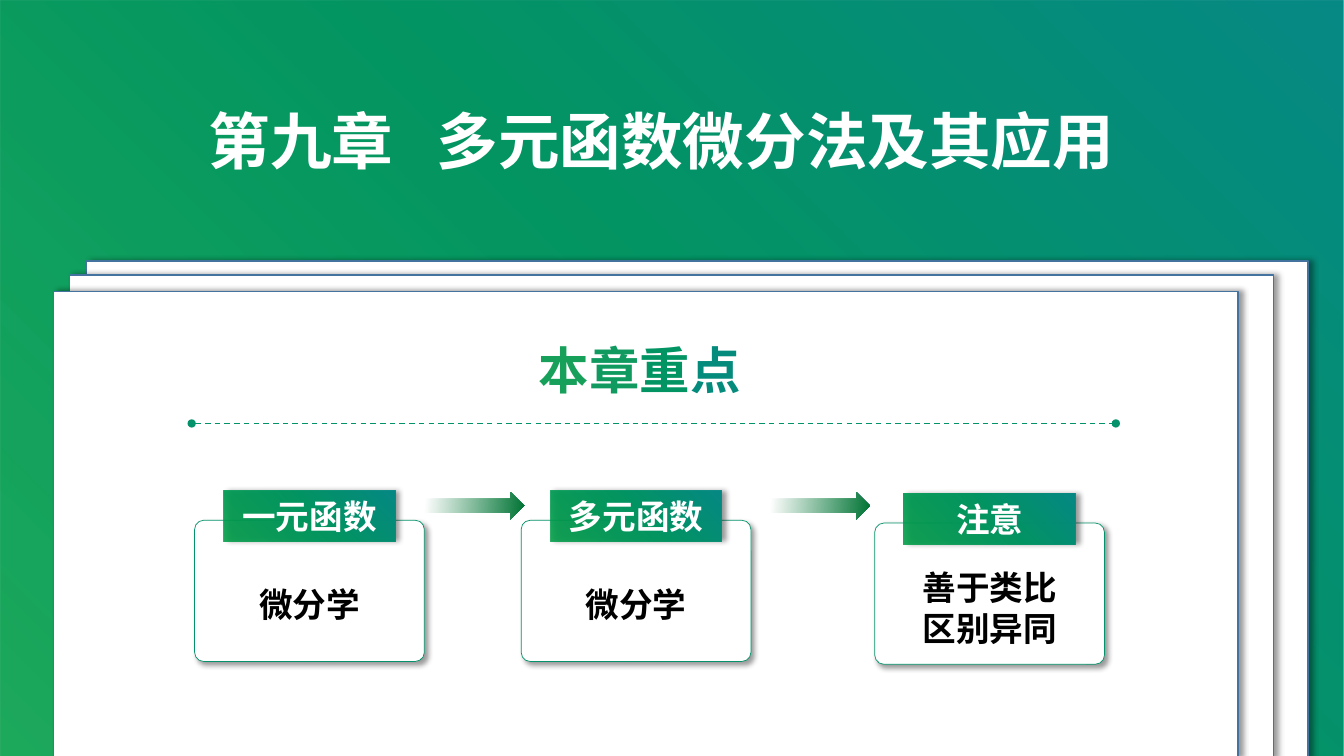
"""Build the chapter nine opening slide on multivariable calculus."""
from pptx import Presentation
from pptx.dml.color import RGBColor
from pptx.enum.dml import MSO_LINE
from pptx.enum.shapes import MSO_CONNECTOR, MSO_SHAPE
from pptx.enum.text import MSO_ANCHOR, PP_ALIGN
from pptx.oxml import parse_xml
from pptx.oxml.ns import nsdecls, qn
from pptx.util import Cm, Pt

RECT, ROUNDED = MSO_SHAPE.RECTANGLE, MSO_SHAPE.ROUNDED_RECTANGLE
ARROW, STRAIGHT = MSO_SHAPE.RIGHT_ARROW, MSO_CONNECTOR.STRAIGHT
LEFT, CENTER, MIDDLE = PP_ALIGN.LEFT, PP_ALIGN.CENTER, MSO_ANCHOR.MIDDLE
DASH = MSO_LINE.DASH
FONT = "Noto Sans CJK SC"
WHITE, BLACK, GREEN, BLUE = "FFFFFF", "000000", "04926A", "43739E"

CHAPTER = "第九章\t多元函数微分法及其应用"
FOCUS = "本章重点"
FOCUS_COLORS = ["16A05A", "109A60", "039463", "058B7C"]
TOPICS = [
    ("一元函数", ["微分学"], 7.8, 13.11),
    ("多元函数", ["微分学"], 16.03, 13.11),
    ("注意", ["善于类比", "区别异同"], 24.94, 13.18),
]
PAPERS = [(2.18, 6.58, 30.78), (1.75, 6.93, 30.35), (1.35, 7.34, 29.85)]
ARROW_LEFTS = [10.62, 19.33]

WIDTH, HEIGHT, BOTTOM = 33.87, 19.05, 19.1
CARD_W, CARD_H = 5.79, 3.56
LABEL_W, LABEL_H, LABEL_RISE = 4.32, 1.27, 0.74
BODY_W, BODY_DROP, BODY_LINE = 4, 2.12, 1.03

GREEN_STOPS = [(0, "009E47", 88), (55, "039463", 100), (100, "068885", 100)]
ARROW_STOPS = [(4, "FFFFFF", 100), (100, "007434", 100)]
RADIAL = '<a:path path="circle"><a:fillToRect t="100000" r="100000"/></a:path>'
LINEAR = '<a:lin ang="300000" scaled="0"/>'


def rgb(code):
    """Turn a hex string into a colour."""
    return RGBColor.from_string(code)


def write(frame, lines, size=24, colors=(WHITE,), align=CENTER, spacing=None, tab=None):
    """Fill a text frame; each line is a list of runs, coloured in turn."""
    frame.word_wrap = True
    frame.vertical_anchor = MIDDLE
    for index, line in enumerate(lines):
        paragraph = frame.paragraphs[0] if index == 0 else frame.add_paragraph()
        paragraph.alignment = align
        if spacing:
            paragraph.line_spacing = Pt(spacing)
        if tab:
            paragraph._p.get_or_add_pPr().append(parse_xml(
                f'<a:tabLst {nsdecls("a")}><a:tab pos="{Cm(tab)}" algn="l"/></a:tabLst>'))
        for text, color in zip(line, colors):
            run = paragraph.add_run()
            run.text = text
            font = run.font
            font.name, font.size, font.bold = FONT, Pt(size), True
            font.color.rgb = rgb(color)
            run._r.get_or_add_rPr().append(
                parse_xml(f'<a:ea {nsdecls("a")} typeface="{FONT}"/>'))


def add_gradient(shape, stops, direction):
    """Give a shape a gradient fill."""
    marks = "".join(
        f'<a:gs pos="{pos * 1000}"><a:srgbClr val="{color}">'
        f'<a:alpha val="{alpha * 1000}"/></a:srgbClr></a:gs>'
        for pos, color, alpha in stops)
    shape.fill.background()
    properties = shape.element.spPr
    properties.replace(properties.find(qn("a:noFill")), parse_xml(
        f'<a:gradFill {nsdecls("a")} rotWithShape="1"><a:gsLst>{marks}</a:gsLst>'
        f'{direction}</a:gradFill>'))


def add_block(slide, kind, box, fill=None, line=None, weight=1, shadow=None):
    """Add a shape; shadow is the angle it falls at in degrees."""
    shape = slide.shapes.add_shape(kind, *map(Cm, box))
    shape.shadow.inherit = False
    if fill:
        shape.fill.solid()
        shape.fill.fore_color.rgb = rgb(fill)
    if line:
        shape.line.color.rgb = rgb(line)
        shape.line.width = Pt(weight)
    else:
        shape.line.fill.background()
    if shadow is not None:
        shape.element.spPr.find(qn("a:effectLst")).append(parse_xml(
            f'<a:outerShdw {nsdecls("a")} blurRad="{Pt(4)}" dist="{Pt(3)}" '
            f'dir="{shadow * 60000}" algn="tl" rotWithShape="0">'
            '<a:srgbClr val="000000"><a:alpha val="40000"/></a:srgbClr></a:outerShdw>'))
    return shape


def add_divider(slide):
    """Draw the dashed rule with round ends."""
    rule = slide.shapes.add_connector(STRAIGHT, Cm(4.83), Cm(10.67), Cm(28.12), Cm(10.67))
    rule.line.color.rgb = rgb(GREEN)
    rule.line.width = Pt(1)
    rule.line.dash_style = DASH
    ends = rule.line._get_or_add_ln()
    for end in ("headEnd", "tailEnd"):
        ends.append(parse_xml(f'<a:{end} {nsdecls("a")} type="oval"/>'))
    rule.element.spPr.append(parse_xml(f'<a:effectLst {nsdecls("a")}/>'))


def add_topic(slide, name, lines, center, top):
    """Draw one card with its label and text."""
    card = add_block(slide, ROUNDED, (center - CARD_W / 2, top, CARD_W, CARD_H),
                     fill=WHITE, line=GREEN, weight=0.5, shadow=45)
    card.adjustments[0] = 0.065
    label = add_block(slide, RECT, (center - LABEL_W / 2, top - LABEL_RISE, LABEL_W, LABEL_H),
                      shadow=0)
    add_gradient(label, GREEN_STOPS, RADIAL)
    write(label.text_frame, [[name]])
    height = 0.25 + BODY_LINE * len(lines)
    body = slide.shapes.add_textbox(Cm(center - BODY_W / 2), Cm(top + BODY_DROP - height / 2),
                                    Cm(BODY_W), Cm(height))
    write(body.text_frame, [[line] for line in lines], colors=[BLACK], spacing=29)


def main():
    """Assemble and save the slide."""
    deck = Presentation()
    deck.slide_width, deck.slide_height = Cm(WIDTH), Cm(HEIGHT)
    slide = deck.slides.add_slide(deck.slide_layouts[5])

    backdrop = add_block(slide, RECT, (0, 0, WIDTH, BOTTOM))
    add_gradient(backdrop, GREEN_STOPS, RADIAL)
    chapter = slide.shapes.title
    backdrop.element.addnext(chapter.element)
    chapter.left, chapter.top, chapter.width, chapter.height = map(Cm, (5, 2.46, 23.85, 2.13))
    write(chapter.text_frame, [[CHAPTER]], size=44, align=LEFT, tab=5.75)

    for left, top, width in PAPERS:
        add_block(slide, RECT, (left, top, width, BOTTOM - top),
                  fill=WHITE, line=BLUE, shadow=0)

    focus = slide.shapes.add_textbox(Cm(13.12), Cm(8.32), Cm(6), Cm(2))
    write(focus.text_frame, [list(FOCUS)], size=36, colors=FOCUS_COLORS)
    add_divider(slide)

    for topic in TOPICS:
        add_topic(slide, *topic)
    for left in ARROW_LEFTS:
        arrow = add_block(slide, ARROW, (left, 12.4, 2.59, 0.69))
        add_gradient(arrow, ARROW_STOPS, LINEAR)

    deck.save("out.pptx")


if __name__ == "__main__":
    main()
